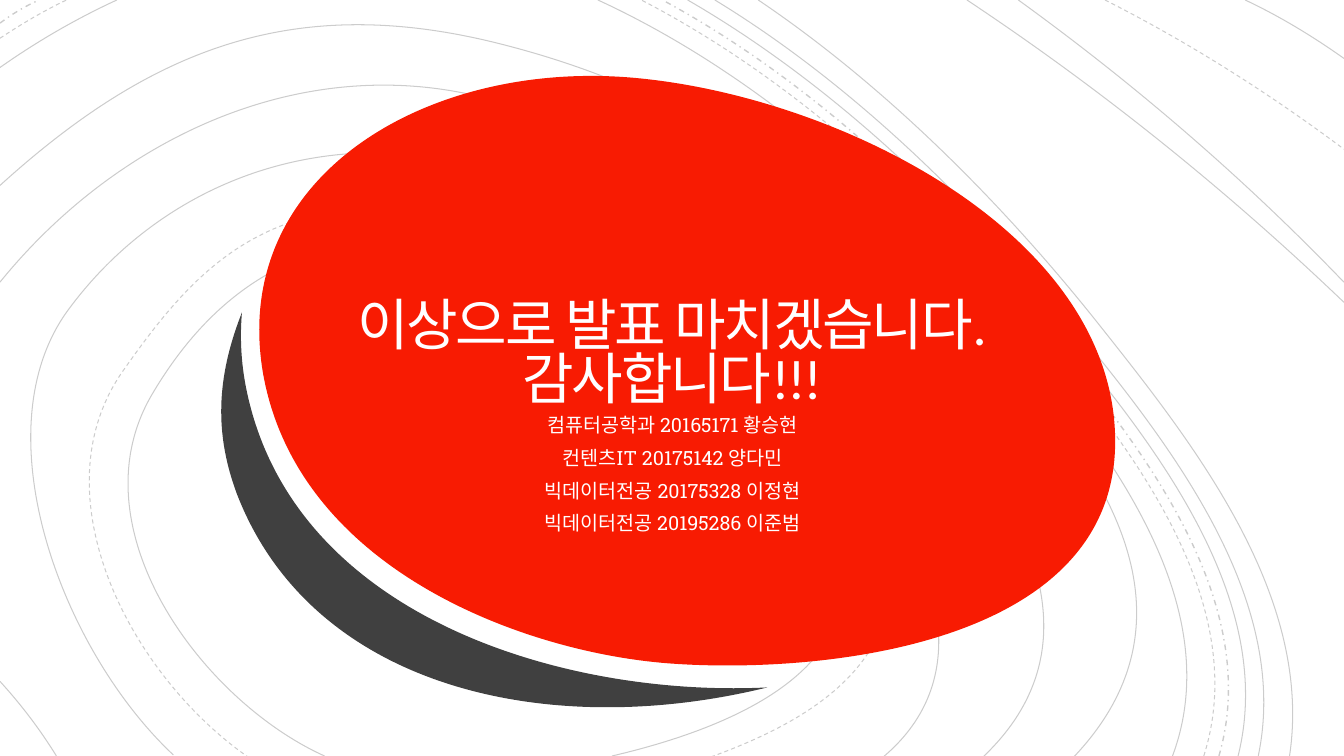
from lxml.etree import SubElement
from pptx import Presentation
from pptx.dml.color import RGBColor
from pptx.enum.dml import MSO_LINE_DASH_STYLE as Dash
from pptx.enum.text import MSO_ANCHOR as Anchor, PP_ALIGN as Align
from pptx.oxml.ns import qn
from pptx.util import Pt

EMU_PER_PX = 9144
SLIDE_WIDTH, SLIDE_HEIGHT = 1333, 750

BLACK = RGBColor(0x00, 0x00, 0x00)
CHARCOAL = RGBColor(0x40, 0x40, 0x40)
RED = RGBColor(0xF8, 0x1B, 0x02)
IVORY = RGBColor(0xFF, 0xFE, 0xFF)
WHITE = RGBColor(0xFF, 0xFF, 0xFF)

SOLID, DASHED, DASH_DOT = Dash.SOLID, Dash.DASH, Dash.DASH_DOT

RINGS = [
    (SOLID, [876, 751, 1025, 625, 835, 409, 738, 315, 536, 164, 412, 153,
             141, 208, 68, 307, 60, 644, 172, 749]),
    (SOLID, [607, 750, 710, 726, 880, 667, 825, 529, 615, 278, 480, 248,
             216, 281, 151, 391, 200, 695, 322, 750]),
    (DASHED, [705, 751, 765, 729, 835, 696, 867, 638, 864, 495, 817, 440,
              592, 227, 443, 209, 193, 267, 122, 368, 127, 668, 246, 751]),
    (SOLID, [975, 751, 1130, 604, 950, 413, 838, 306, 603, 120, 458, 92,
             111, 143, 0, 280]),
    (SOLID, [1065, 751, 1213, 595, 1067, 422, 944, 307, 667, 87, 498, 44,
             152, 46, 0, 184]),
]
RING_STRETCH = 1.2

INNER_STREAK = [1163, 750, 1226, 581, 1064, 401, 963, 287, 736, 66, 593, 0]
OUTER_STREAK = [1279, 750, 1303, 590, 1182, 438, 1090, 322, 881, 87, 752, 0]
STREAKS = [(SOLID, 0), (DASHED, 0.27), (DASH_DOT, 0.4),
           (SOLID, 0.56), (SOLID, 0.73), (SOLID, 1)]

LEFT_ARCS = [(SOLID, 116), (DASHED, 66), (DASH_DOT, 39)]
LEFT_SLOPE = 0.58
RIGHT_ARCS = [(SOLID, 959, 300), (SOLID, 1010, 280),
              (DASHED, 1096, 148), (SOLID, 1235, 58)]
BOW = 0.03

CRESCENT = [240, 310, 238, 333, 239, 356, 243, 379, 285, 612, 560, 692, 761, 682,
            545, 735, 310, 684, 235, 490, 213, 431, 214, 376, 240, 310]
EGG = [261, 371, 227, 175, 423, 60, 626, 77, 1106, 231, 1106, 438,
       803, 669, 662, 658, 296, 566, 261, 371]

TITLE = ["이상으로 발표 마치겠습니다.", "감사합니다!!!"]
MEMBERS = [
    "컴퓨터공학과 20165171 황승현",
    "컨텐츠IT 20175142 양다민",
    "빅데이터전공 20175328 이정현",
    "빅데이터전공 20195286 이준범",
]


def px(length):
    return length * EMU_PER_PX


def pair_up(coordinates):
    return list(zip(coordinates[::2], coordinates[1::2]))


def smooth(coordinates, stretch=1):
    given = pair_up(coordinates)
    points = given[:4]
    for control, end in zip(given[4::2], given[5::2]):
        (handle_x, handle_y), (joint_x, joint_y) = points[-2:]
        mirrored = (joint_x + stretch * (joint_x - handle_x),
                    joint_y + stretch * (joint_y - handle_y))
        points += [mirrored, control, end]
    return points


def bowed(left, top, right, bottom):
    width, height = right - left, bottom - top
    controls = [(left + width * part + height * BOW, top + height * part - width * BOW)
                for part in (1 / 3, 2 / 3)]
    return [(left, top), *controls, (right, bottom)]


def add_curve(slide, points, close=False):
    builder = slide.shapes.build_freeform(*points[0], scale=EMU_PER_PX)
    builder.add_line_segments(points[1:], close=close)
    shape = builder.convert_to_shape()
    shape.shadow.inherit = False
    segments = list(shape.element.iter(qn("a:lnTo")))
    for start in range(0, len(segments), 3):
        bezier = segments[start]
        for segment in segments[start + 1:start + 3]:
            bezier.append(segment[0])
            segment.getparent().remove(segment)
        bezier.tag = qn("a:cubicBezTo")
    return shape


def add_line(slide, dash, points):
    shape = add_curve(slide, points)
    shape.fill.background()
    shape.line.color.rgb = BLACK
    shape.line.width = Pt(1 if dash == DASH_DOT else 0.75)
    shape.line.dash_style = dash
    color = next(shape.element.iter(qn("a:srgbClr")))
    SubElement(color, qn("a:alpha")).set("val", "20000")


def add_blob(slide, points, color):
    shape = add_curve(slide, points, close=True)
    shape.fill.solid()
    shape.fill.fore_color.rgb = color
    shape.line.fill.background()


def add_background_lines(slide):
    for dash, coordinates in RINGS:
        add_line(slide, dash, smooth(coordinates, RING_STRETCH))
    for dash, share in STREAKS:
        streak = [inner + share * (outer - inner)
                  for inner, outer in zip(INNER_STREAK, OUTER_STREAK)]
        add_line(slide, dash, smooth(streak))
    for dash, reach in LEFT_ARCS:
        add_line(slide, dash, bowed(0, reach * LEFT_SLOPE, reach, 0))
    for dash, left, bottom in RIGHT_ARCS:
        add_line(slide, dash, bowed(left, 0, SLIDE_WIDTH, bottom))
    add_line(slide, SOLID, bowed(0, 676, 56, SLIDE_HEIGHT))


def add_text_box(slide, box, insets, anchor):
    shape = slide.shapes.add_textbox(*map(px, box))
    frame = shape.text_frame
    frame.word_wrap = True
    frame.vertical_anchor = anchor
    (frame.margin_left, frame.margin_top,
     frame.margin_right, frame.margin_bottom) = map(px, insets)
    return shape


def format_paragraph(paragraph, space_before=0):
    paragraph.alignment = Align.CENTER
    paragraph.line_spacing = 0.8
    paragraph.space_before = Pt(space_before)


def add_run(paragraph, text, size, font):
    run = paragraph.add_run()
    run.text = text
    run.font.size = Pt(size)
    run.font.name = font
    run.font.color.rgb = IVORY


def add_title(slide):
    shape = add_text_box(slide, (286, 225, 761, 182), (25, 25, 25, 0), Anchor.BOTTOM)
    paragraph = shape.text_frame.paragraphs[0]
    format_paragraph(paragraph)
    for index, line in enumerate(TITLE):
        if index:
            paragraph.add_line_break()
        add_run(paragraph, line, 40, "Calibri")
    for properties in shape.element.iter(qn("a:rPr")):
        properties.set("spc", "-150")


def add_members(slide):
    shape = add_text_box(slide, (371, 414, 592, 131), (10, 0, 10, 5), Anchor.TOP)
    frame = shape.text_frame
    for index, member in enumerate(MEMBERS):
        paragraph = frame.add_paragraph() if index else frame.paragraphs[0]
        format_paragraph(paragraph, 10)
        add_run(paragraph, member, 14, "Roboto Slab")


def main():
    presentation = Presentation()
    presentation.slide_width = px(SLIDE_WIDTH)
    presentation.slide_height = px(SLIDE_HEIGHT)
    slide = presentation.slides.add_slide(presentation.slide_layouts[6])
    slide.background.fill.solid()
    slide.background.fill.fore_color.rgb = WHITE
    add_background_lines(slide)
    add_blob(slide, pair_up(CRESCENT), CHARCOAL)
    add_blob(slide, smooth(EGG), RED)
    add_title(slide)
    add_members(slide)
    presentation.save("out.pptx")


if __name__ == "__main__":
    main()
